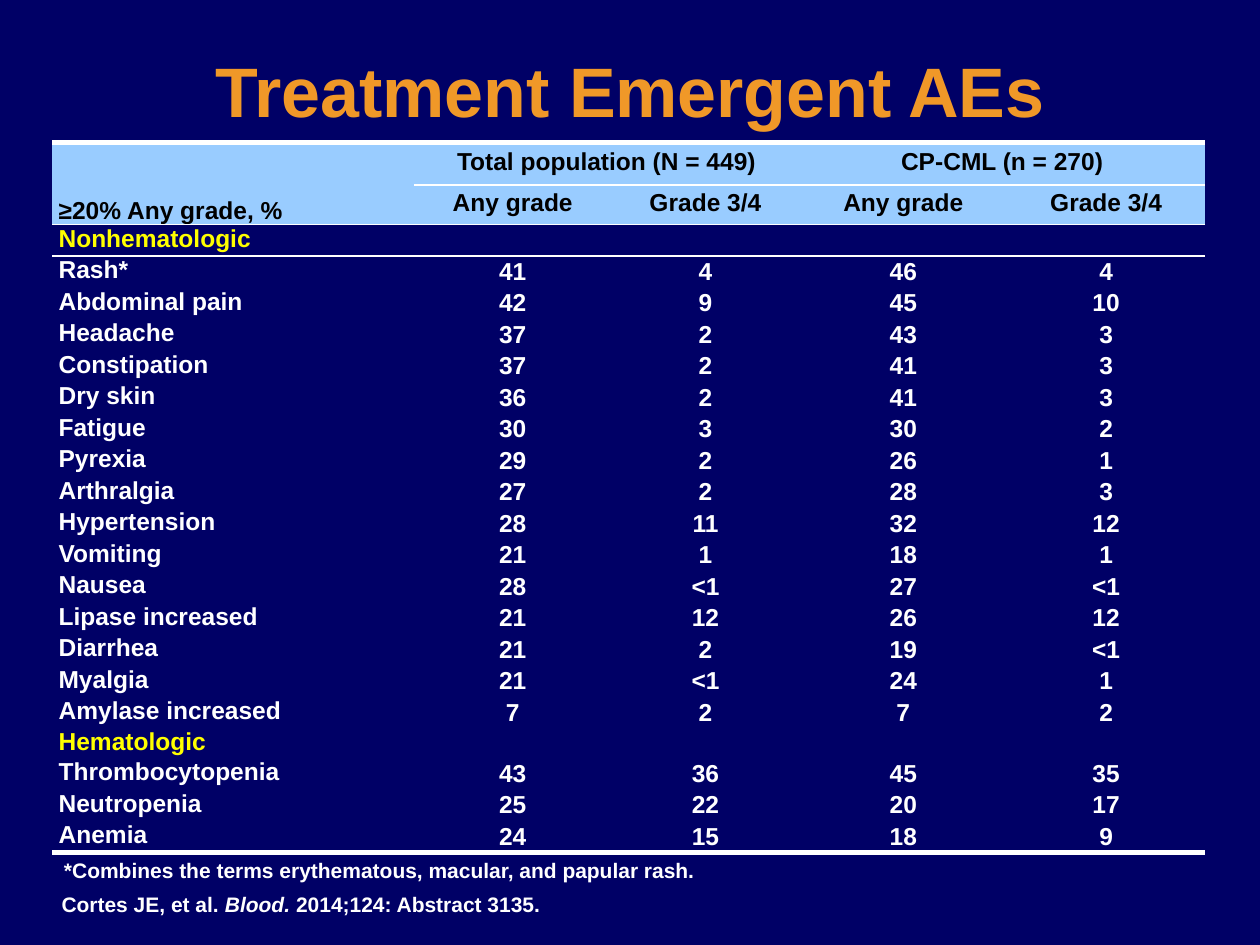
from lxml.etree import SubElement
from pptx import Presentation
from pptx.dml.color import RGBColor
from pptx.enum.text import MSO_ANCHOR, MSO_AUTO_SIZE, PP_ALIGN
from pptx.oxml import parse_xml
from pptx.oxml.ns import nsdecls, qn
from pptx.util import Inches, Pt

WHITE, YELLOW, BLACK = "FFFFFF", "FFFF00", "000000"
NAVY, ORANGE, SKY = "000066", "F09828", "99CCFF"
NO_STYLE = "{2D5ABB26-0587-4C30-8999-92F81FD0307C}"

HEADINGS = [
    ["≥20% Any grade, %", "Total population (N = 449)", "", "CP-CML (n = 270)", ""],
    ["", "Any grade", "Grade 3/4", "Any grade", "Grade 3/4"],
]
ADVERSE_EVENTS = {
    "Nonhematologic": [
        ("Rash*", 41, 4, 46, 4),
        ("Abdominal pain", 42, 9, 45, 10),
        ("Headache", 37, 2, 43, 3),
        ("Constipation", 37, 2, 41, 3),
        ("Dry skin", 36, 2, 41, 3),
        ("Fatigue", 30, 3, 30, 2),
        ("Pyrexia", 29, 2, 26, 1),
        ("Arthralgia", 27, 2, 28, 3),
        ("Hypertension", 28, 11, 32, 12),
        ("Vomiting", 21, 1, 18, 1),
        ("Nausea", 28, "<1", 27, "<1"),
        ("Lipase increased", 21, 12, 26, 12),
        ("Diarrhea", 21, 2, 19, "<1"),
        ("Myalgia", 21, "<1", 24, 1),
        ("Amylase increased", 7, 2, 7, 2),
    ],
    "Hematologic": [
        ("Thrombocytopenia", 43, 36, 45, 35),
        ("Neutropenia", 25, 22, 20, 17),
        ("Anemia", 24, 15, 18, 9),
    ],
}


def rgb(color):
    return RGBColor.from_string(color)


def write(paragraph, text, size=14, color=WHITE, italic=False, align=None, spacing=None):
    """Add one bold Arial run to a paragraph."""
    run = paragraph.add_run()
    run.text = text
    font = run.font
    font.name, font.size, font.bold, font.italic = "Arial", Pt(size), True, italic
    font.color.rgb = rgb(color)
    if align is not None:
        paragraph.alignment = align
    if spacing:
        paragraph.line_spacing = spacing
    return run


def draw_border(cell, side, width):
    line = parse_xml(
        f'<a:{side} {nsdecls("a")} w="{Pt(width)}"><a:solidFill>'
        f'<a:srgbClr val="{WHITE}"/></a:solidFill></a:{side}>')
    properties = cell._tc.get_or_add_tcPr()
    properties.insert(len(properties.findall(qn("a:lnT"))), line)


class Deck:
    def __init__(self):
        self.presentation = Presentation()
        self.presentation.slide_width = Inches(10)
        self.presentation.slide_height = Inches(7.5)
        self.slide = self.presentation.slides.add_slide(self.presentation.slide_layouts[5])
        background = self.slide.background.fill
        background.solid()
        background.fore_color.rgb = rgb(NAVY)

    def area(self, left, top, width, height):
        """Turn percentages of the slide's size into lengths."""
        across = self.presentation.slide_width / 100
        down = self.presentation.slide_height / 100
        return [round(n) for n in (left * across, top * down, width * across, height * down)]

    def title(self, text, *share):
        title = self.slide.shapes.title
        title.left, title.top, title.width, title.height = self.area(*share)
        title.text_frame.vertical_anchor = MSO_ANCHOR.MIDDLE
        run = write(title.text_frame.paragraphs[0], text, size=40, color=ORANGE,
                    align=PP_ALIGN.CENTER, spacing=0.85)
        shadow = parse_xml(
            f'<a:effectLst {nsdecls("a")}><a:outerShdw dist="38100" dir="2700000">'
            f'<a:srgbClr val="{BLACK}"/></a:outerShdw></a:effectLst>')
        run.font._element.find(qn("a:solidFill")).addnext(shadow)

    def note(self, parts, *share):
        frame = self.slide.shapes.add_textbox(*self.area(*share)).text_frame
        frame.word_wrap = False
        frame.auto_size = MSO_AUTO_SIZE.SHAPE_TO_FIT_TEXT
        for text, italic in parts:
            write(frame.paragraphs[0], text, size=12, italic=italic)

    def cell(self, cell, text, fill=None, anchor=MSO_ANCHOR.MIDDLE, **style):
        cell.margin_left = cell.margin_right = Inches(0.05)
        cell.margin_top = cell.margin_bottom = 0
        cell.vertical_anchor = anchor
        if fill:
            cell.fill.solid()
            cell.fill.fore_color.rgb = rgb(fill)
        else:
            cell.fill.background()
        paragraph = cell.text_frame.paragraphs[0]
        if text:
            write(paragraph, text, **style)
        else:  # keep an empty cell as low as its row
            SubElement(paragraph._p, qn("a:endParaRPr"), sz="1400")

    def events_table(self, rows, widths, heights, *share):
        frame = self.slide.shapes.add_table(len(rows), len(widths), *self.area(*share))
        table = frame.table
        table.first_row = table.horz_banding = False
        next(frame._element.iter(qn("a:tableStyleId"))).text = NO_STYLE
        for column, width in zip(table.columns, widths):
            column.width = Inches(width)
        for row, height in zip(table.rows, heights):
            row.height = Inches(height)

        # Heading cells that span rows or columns
        for first, last in (((0, 0), (1, 0)), ((0, 1), (0, 2)), ((0, 3), (0, 4))):
            table.cell(*first).merge(table.cell(*last))

        tops = {0: 3, 1: 1, 2: 1}
        bottoms = {0: 1, 1: 1, len(rows) - 1: 3}
        for r, values in enumerate(rows):
            heading = r < len(HEADINGS)
            for c, value in enumerate(values):
                cell = table.cell(r, c)
                color = BLACK if heading else YELLOW if value in ADVERSE_EVENTS else WHITE
                self.cell(
                    cell, str(value), color=color, fill=SKY if heading else None,
                    anchor=MSO_ANCHOR.BOTTOM if heading and c == 0 else MSO_ANCHOR.MIDDLE,
                    align=PP_ALIGN.CENTER if c else PP_ALIGN.LEFT,
                    spacing=0.85 if heading or c == 0 else None)
                if r in tops and (r, c) != (1, 0):
                    draw_border(cell, "lnT", tops[r])
                if r in bottoms:
                    draw_border(cell, "lnB", bottoms[r])


def main():
    deck = Deck()
    deck.title("Treatment Emergent AEs", 5, 3.73, 90, 12.93)

    # Headings, then each group name followed by its events
    rows = list(HEADINGS)
    for group, events in ADVERSE_EVENTS.items():
        rows += [[group, "", "", "", ""], *events]
    heights = [0.34, 0.31] + [0.23 if row[0] == "Hematologic" else 0.25 for row in rows[2:]]
    deck.events_table(rows, [2.87, 1.57, 1.49, 1.65, 1.57], heights, 4.15, 15.07, 91.5, 75.33)

    # Footnote and citation
    deck.note([("*Combines the terms erythematous, macular, and papular rash.", False)],
              4.1, 90.13, 53, 4)
    deck.note([("Cortes JE, et al. ", False), ("Blood. ", True),
               ("2014;124: Abstract 3135.", False)], 3.9, 93.73, 40.3, 4)
    deck.presentation.save("out.pptx")


if __name__ == "__main__":
    main()
